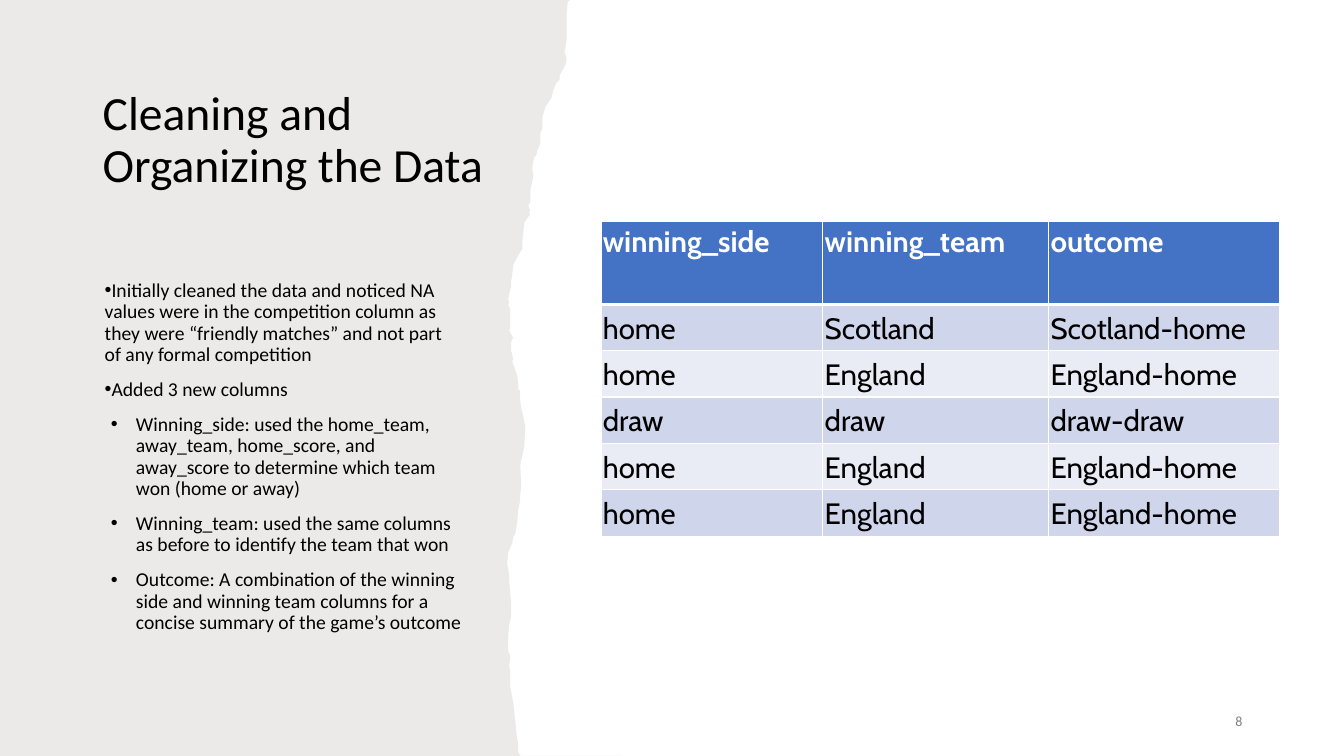
from lxml.etree import SubElement
from pptx import Presentation
from pptx.dml.color import RGBColor
from pptx.enum.shapes import MSO_SHAPE
from pptx.enum.text import MSO_ANCHOR, PP_ALIGN
from pptx.oxml.ns import qn
from pptx.util import Inches, Pt

COLORS = {
    "white": "FFFFFF", "black": "000000", "panel": "82766A", "number": "808080",
    "header": "4472C4", "odd_row": "CFD5EA", "even_row": "E9EBF5",
}

# Torn right edge of the panel, top to bottom, in hundredths of an inch
TORN_EDGE = [
    (565, 0), (563, 2), (562, 14), (562, 20), (562, 39), (560, 52), (562, 58),
    (561, 64), (560, 66), (555, 75), (555, 79), (552, 82), (549, 89), (547, 97),
    (541, 106), (538, 116), (538, 127), (536, 132), (536, 142), (533, 149),
    (532, 154), (530, 156), (529, 160), (528, 166), (528, 169), (529, 173),
    (528, 180), (526, 188), (526, 195), (526, 200), (524, 204), (525, 207),
    (526, 208), (525, 212), (526, 213), (524, 215), (520, 221), (519, 231),
    (518, 240), (518, 247), (513, 255), (509, 263), (508, 273), (507, 279),
    (507, 284), (505, 292), (504, 297), (505, 300), (504, 302), (506, 307),
    (506, 318), (506, 326), (505, 327), (506, 330), (509, 335), (507, 339),
    (507, 345), (507, 348), (509, 356), (508, 359), (510, 364), (513, 373),
    (514, 380), (514, 386), (516, 388), (516, 398), (517, 405), (519, 413),
    (521, 424), (520, 443), (516, 461), (517, 482), (516, 491), (516, 496),
    (514, 506), (513, 518), (511, 530), (509, 533), (508, 539), (504, 548),
    (503, 559), (505, 570), (505, 576), (507, 598), (507, 612), (505, 620),
    (504, 631), (504, 646), (506, 650), (506, 653), (505, 660), (506, 666),
    (506, 681), (509, 697), (511, 715), (512, 726), (513, 733), (514, 739),
    (514, 746), (516, 750), (618, 750),
]

BULLETS = [
    (0, "Initially cleaned the data and noticed NA values were in the competition "
        "column as they were “friendly matches” and not part of any formal competition"),
    (0, "Added 3 new columns"),
    (0.31, "Winning_side: used the home_team, away_team, home_score, and away_score "
           "to determine which team won (home or away)"),
    (0.31, "Winning_team: used the same columns as before to identify the team that won"),
    (0.31, "Outcome: A combination of the winning side and winning team columns "
           "for a concise summary of the game’s outcome"),
]

HEADER = ["winning_side", "winning_team", "outcome"]
MATCHES = [("home", "Scotland"), ("home", "England"), ("draw", "draw"),
           ("home", "England"), ("home", "England")]
COLUMN_WIDTHS = [2.2, 2.24, 2.29]
HEADER_HEIGHT, ROW_HEIGHT = 0.82, 0.46


def rgb(name):
    return RGBColor.from_string(COLORS[name])


def style(p, size, color, font="Calibri", bold=False):
    for r in p.runs:
        r.font.size = Pt(size)
        r.font.name = font
        r.font.bold = bold
        r.font.color.rgb = rgb(color)


def fill_plain(sp, color):
    sp.shadow.inherit = False
    sp.fill.solid()
    sp.fill.fore_color.rgb = rgb(color)
    sp.line.fill.background()


def add_background(s, prs):
    sp = s.shapes.add_shape(MSO_SHAPE.RECTANGLE, 0, 0, prs.slide_width, prs.slide_height)
    fill_plain(sp, "white")


def add_torn_panel(s):
    builder = s.shapes.build_freeform(0, 0, scale=Inches(0.01))
    builder.add_line_segments(TORN_EDGE + [(0, 750)], close=True)
    sp = builder.convert_to_shape()
    fill_plain(sp, "panel")
    tint = sp.fill._xPr.find(qn("a:solidFill"))[0]
    SubElement(tint, qn("a:alpha"), val="15000")


def add_text_frame(s, left, top, width, height):
    sp = s.shapes.add_textbox(Inches(left), Inches(top), Inches(width), Inches(height))
    tf = sp.text_frame
    tf.word_wrap = True
    tf.vertical_anchor = MSO_ANCHOR.MIDDLE
    return tf


def add_title(s, text):
    tf = add_text_frame(s, 0.92, 0.67, 4.09, 1.46)
    tf.text = text
    p = tf.paragraphs[0]
    p.line_spacing = 0.9
    style(p, 34, "black")


def add_bullets(s):
    tf = add_text_frame(s, 0.94, 2.4, 3.75, 4.27)
    for i, (indent, text) in enumerate(BULLETS):
        p = tf.add_paragraph() if i else tf.paragraphs[0]
        p.text = text
        p.line_spacing = 0.9
        p.space_before = Pt(10 if i else 0)
        pPr = p._p.get_or_add_pPr()
        pPr.set("marL", str(Inches(indent)))
        pPr.set("indent", str(Inches(-0.25)))
        SubElement(pPr, qn("a:buFont"), typeface="Arial")
        SubElement(pPr, qn("a:buChar"), char="•")
        style(p, 14, "black")


def add_page_number(s, number):
    tf = add_text_frame(s, 9.42, 6.95, 3, 0.4)
    tf.text = number
    p = tf.paragraphs[0]
    p.alignment = PP_ALIGN.RIGHT
    p.space_after = Pt(6)
    style(p, 10, "number")


def add_borders(cell, row):
    """White rules all round, thicker between the header and the first match."""
    tcPr = cell._tc.get_or_add_tcPr()
    thick = {0: "lnB", 1: "lnT"}.get(row)
    for side in ("lnL", "lnR", "lnT", "lnB"):
        width = Pt(3 if side == thick else 1)
        ln = SubElement(tcPr, qn(f"a:{side}"), w=str(width))
        solid = SubElement(ln, qn("a:solidFill"))
        SubElement(solid, qn("a:srgbClr"), val=COLORS["white"])


def fill_cell(cell, text, row):
    cell.margin_left = cell.margin_right = cell.margin_top = Inches(0.02)
    cell.margin_bottom = 0
    cell.vertical_anchor = MSO_ANCHOR.MIDDLE if row else MSO_ANCHOR.TOP
    add_borders(cell, row)
    cell.fill.solid()
    band = "odd_row" if row % 2 else "even_row"
    cell.fill.fore_color.rgb = rgb(band if row else "header")
    cell.text_frame.text = text
    style(cell.text_frame.paragraphs[0], 21, "black" if row else "white",
          font="Cabin", bold=row == 0)


def add_outcome_table(s):
    rows = [HEADER] + [[side, team, f"{team}-{side}"] for side, team in MATCHES]
    height = HEADER_HEIGHT + ROW_HEIGHT * len(MATCHES)
    table = s.shapes.add_table(len(rows), len(HEADER), Inches(5.96), Inches(2.2),
                               Inches(sum(COLUMN_WIDTHS)), Inches(height)).table
    for column, width in zip(table.columns, COLUMN_WIDTHS):
        column.width = Inches(width)
    for i, values in enumerate(rows):
        table.rows[i].height = Inches(ROW_HEIGHT if i else HEADER_HEIGHT)
        for j, text in enumerate(values):
            fill_cell(table.cell(i, j), text, i)


def main():
    prs = Presentation()
    prs.slide_width, prs.slide_height = Inches(13.33), Inches(7.5)
    s = prs.slides.add_slide(prs.slide_layouts[6])
    add_background(s, prs)
    add_torn_panel(s)
    add_title(s, "Cleaning and Organizing the Data")
    add_bullets(s)
    add_page_number(s, "8")
    add_outcome_table(s)
    prs.save("out.pptx")


if __name__ == "__main__":
    main()
